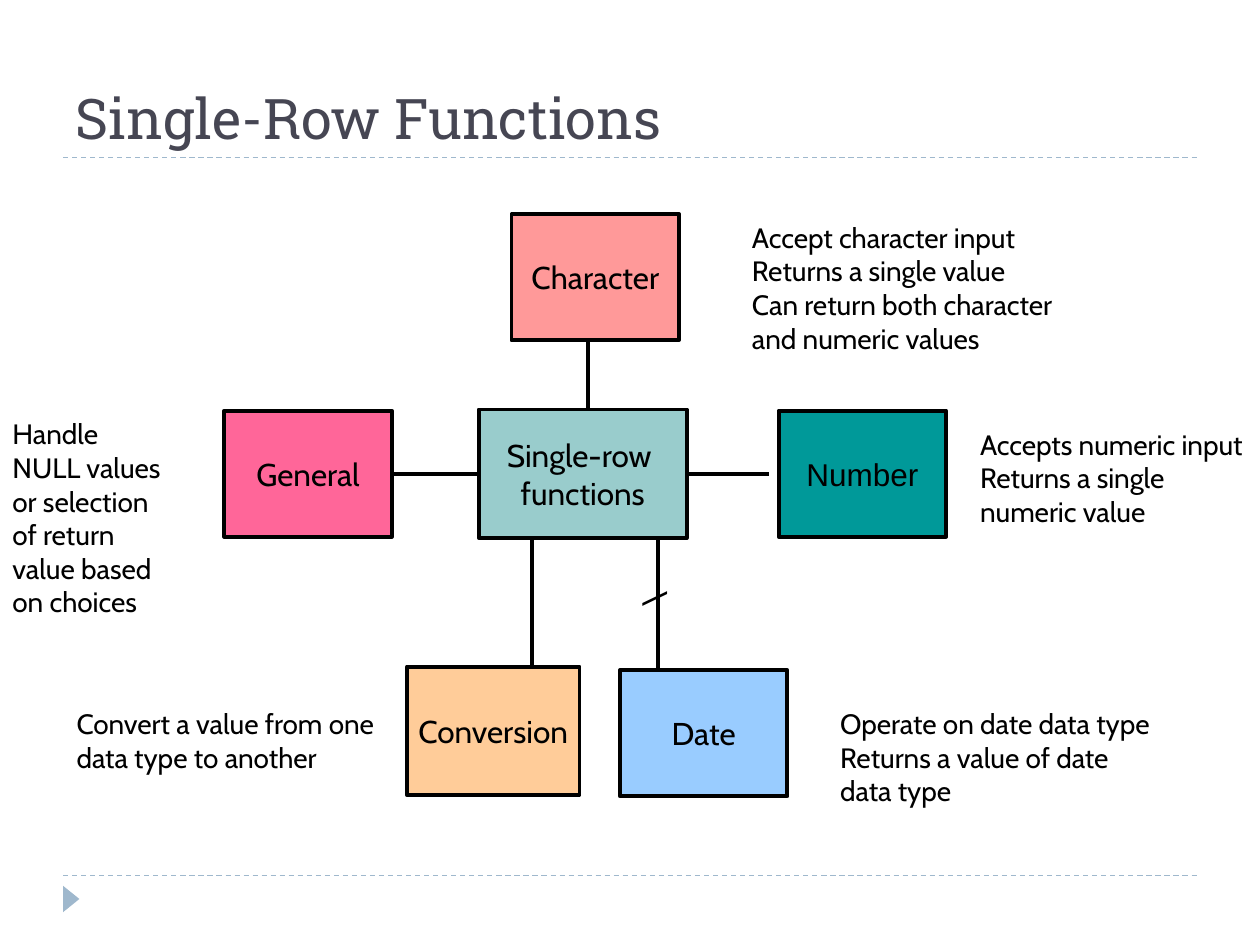
from pptx import Presentation
from pptx.dml.color import RGBColor
from pptx.enum.dml import MSO_LINE
from pptx.enum.shapes import MSO_CONNECTOR, MSO_SHAPE
from pptx.enum.text import MSO_ANCHOR, MSO_AUTO_SIZE, PP_ALIGN
from pptx.oxml.ns import qn
from pptx.util import Inches, Pt
from lxml.etree import SubElement


def color(value):
    return RGBColor.from_string(value)


class Deck:
    body_font = "Cabin"
    title_font = "Roboto Slab"
    ink = "000000"
    title_ink = "464653"
    accent = "9FB8CD"

    def __init__(self, prs):
        self.s = prs.slides.add_slide(prs.slide_layouts[5])

    def add_lines(self, tf, lines, size, font=None, ink=None,
                  align=PP_ALIGN.LEFT):
        for i, line in enumerate(lines):
            p = tf.paragraphs[0] if i == 0 else tf.add_paragraph()
            p.alignment = align
            r = p.add_run()
            r.text = line
            r.font.size = Pt(size)
            r.font.name = font or self.body_font
            r.font.color.rgb = color(ink or self.ink)

    def title(self, text, x, y, w, h):
        sp = self.s.shapes.title
        sp.left, sp.top, sp.width, sp.height = map(Inches, (x, y, w, h))
        tf = sp.text_frame
        tf.vertical_anchor = MSO_ANCHOR.BOTTOM
        self.add_lines(tf, [text], 32, self.title_font, self.title_ink)

    def line(self, x1, y1, x2, y2, ink=None, width=2.25, dash=None):
        c = self.s.shapes.add_connector(
            MSO_CONNECTOR.STRAIGHT, *map(Inches, (x1, y1, x2, y2)))
        c.line.color.rgb = color(ink or self.ink)
        c.line.width = Pt(width)
        if dash:
            c.line.dash_style = dash
        SubElement(c._element.spPr, qn("a:effectLst"))
        return c

    def rule(self, y):
        """Dashed line across the slide."""
        self.line(0.5, y, 9.5, y, self.accent, 0.75, MSO_LINE.DASH)

    def marker(self, x, y, w, h):
        """Small triangle pointing right in the footer."""
        sp = self.s.shapes.add_shape(
            MSO_SHAPE.ISOSCELES_TRIANGLE, *map(Inches, (x, y, w, h)))
        sp.rotation = 90
        sp.shadow.inherit = False
        sp.fill.solid()
        sp.fill.fore_color.rgb = color(self.accent)
        sp.line.fill.background()

    def box(self, lines, fill, x, y, w=1.33, h=1, font=None):
        sp = self.s.shapes.add_shape(
            MSO_SHAPE.RECTANGLE, *map(Inches, (x, y, w, h)))
        sp.shadow.inherit = False
        sp.fill.solid()
        sp.fill.fore_color.rgb = color(fill)
        sp.line.color.rgb = color(self.ink)
        sp.line.width = Pt(2.25)
        tf = sp.text_frame
        tf.word_wrap = False
        tf.vertical_anchor = MSO_ANCHOR.MIDDLE
        self.add_lines(tf, lines, 18, font, align=PP_ALIGN.CENTER)
        return sp

    def note(self, lines, x, y, w, h):
        tb = self.s.shapes.add_textbox(*map(Inches, (x, y, w, h)))
        tf = tb.text_frame
        tf.word_wrap = True
        tf.auto_size = MSO_AUTO_SIZE.SHAPE_TO_FIT_TEXT
        self.add_lines(tf, lines, 16)

    def slash(self, x, y, size=0.4):
        """Backslash turned on its side, centred on a point."""
        tb = self.s.shapes.add_textbox(
            *map(Inches, (x - size / 2, y - size / 2, size, size)))
        tb.rotation = 90
        tf = tb.text_frame
        tf.word_wrap = False
        tf.vertical_anchor = MSO_ANCHOR.MIDDLE
        self.add_lines(tf, ["\\"], 18, align=PP_ALIGN.CENTER)


def main():
    prs = Presentation()
    prs.slide_width, prs.slide_height = Inches(10), Inches(7.5)
    d = Deck(prs)

    d.rule(6.95)
    d.rule(1.25)
    d.marker(0.46, 7.07, 0.21, 0.13)
    d.title("Single-Row Functions", 0.5, 0.25, 9, 1)

    # The links run under the boxes
    d.line(4.22, 4.16, 4.22, 5.31)
    d.line(5.22, 4.17, 5.22, 5.33)
    d.slash(5.22, 4.75)
    d.line(4.67, 4.02, 4.67, 2.47)
    general_link = d.line(4.26, 3.76, 3.11, 3.76)
    d.line(4.98, 3.76, 6.1, 3.76)

    d.box(["Conversion"], "FFCC99", 3.23, 5.29, 1.37, 1.02)
    d.box(["Character"], "FF9999", 4.06, 1.7)
    d.box(["Number"], "009999", 6.18, 3.26, font="Arial")
    d.box(["Date"], "99CCFF", 4.92, 5.32)
    general = d.box(["General"], "FF6699", 1.78, 3.26)
    d.box(["Single-row ", "functions"], "99CCCC", 3.8, 3.25, 1.65, 1.02)
    general_link.end_connect(general, 3)

    d.note(["Accept character input", "Returns a single value",
            "Can return both character and numeric values"],
           5.87, 1.7, 2.76, 1.18)
    d.note(["Accepts numeric input", "Returns a single numeric value"],
           7.68, 3.34, 2.32, 0.91)
    d.note(["Operate on date data type", "Returns a value of date data type"],
           6.57, 5.56, 2.76, 0.91)
    d.note(["Convert a value from one data type to another"],
           0.51, 5.56, 2.76, 0.64)
    d.note(["Handle NULL values or selection of return value based on choices"],
           0, 3.26, 1.38, 1.72)

    prs.save("out.pptx")


if __name__ == "__main__":
    main()
